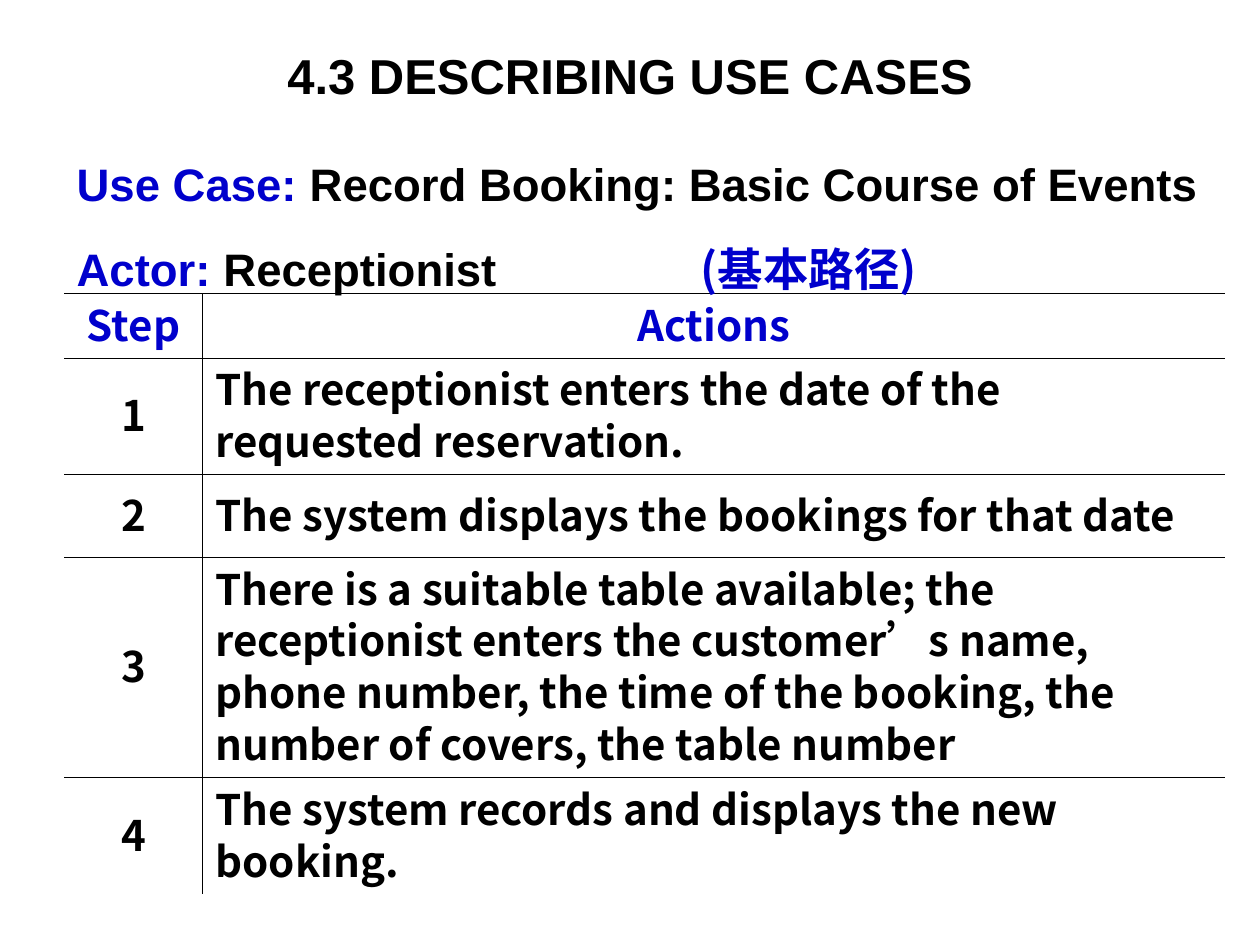
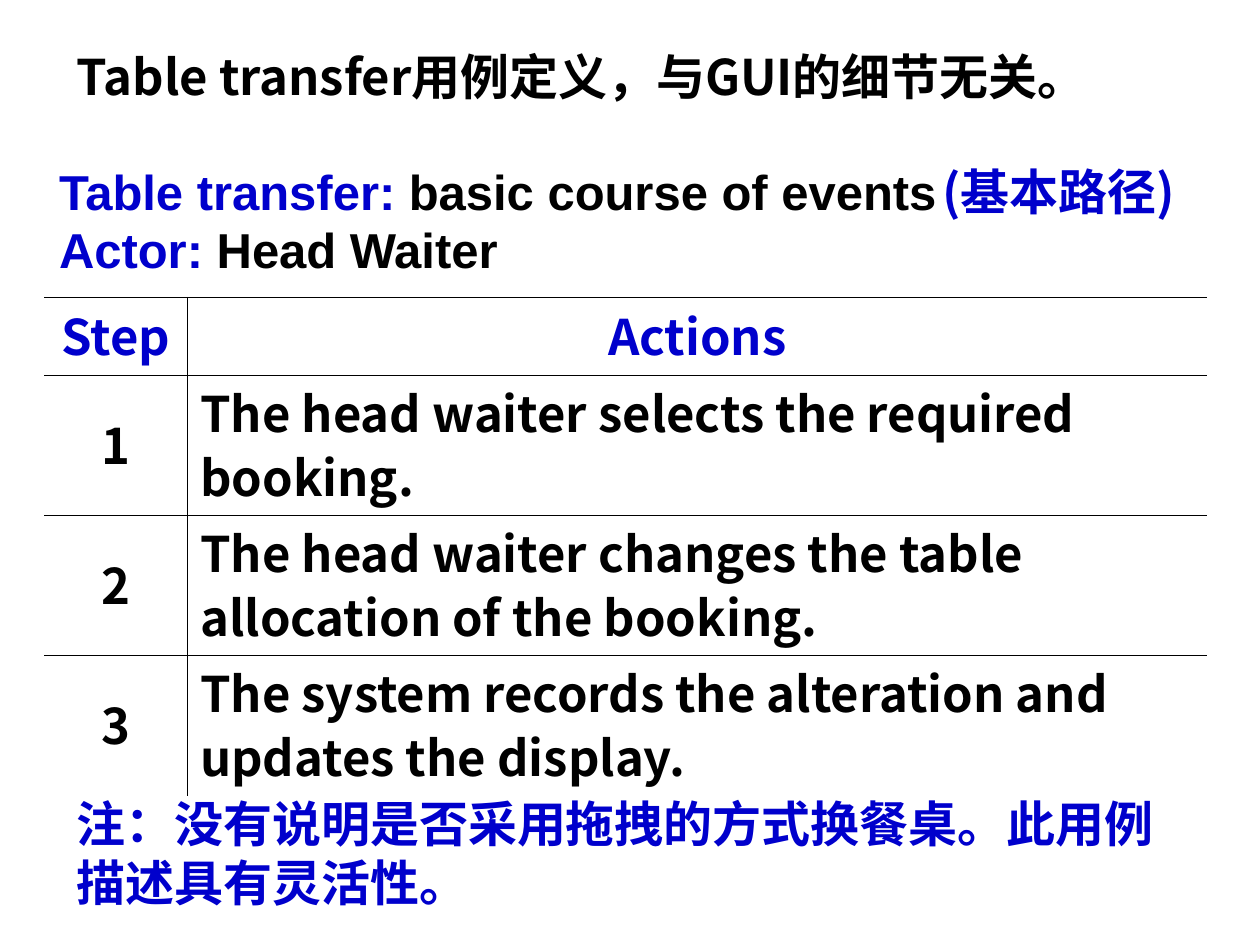
from lxml.etree import SubElement
from pptx import Presentation
from pptx.dml.color import RGBColor
from pptx.enum.text import MSO_ANCHOR, MSO_AUTO_SIZE, PP_ALIGN
from pptx.oxml.ns import qn
from pptx.util import Inches, Pt

COLORS = {"text": "000000", "accent": "0000CC", "line": "000000"}
LATIN = "Arial"
HAN = "Noto Sans CJK SC"
TITLE_SIZE = 28
LINE_WIDTH = 0.45


def style(run, size, color, face):
    run.font.size = Pt(size)
    run.font.bold = True
    run.font.color.rgb = RGBColor.from_string(COLORS[color])
    run.font.name = face
    SubElement(run.font._element, qn("a:ea"), typeface=face)


def write(frame, lines, size, align=PP_ALIGN.LEFT, spacing=1.0):
    """Each line is a list of (text, color, face) parts."""
    frame.word_wrap = True
    for index, parts in enumerate(lines):
        para = frame.add_paragraph() if index else frame.paragraphs[0]
        para.alignment = align
        para.line_spacing = spacing
        for text, color, face in parts:
            run = para.add_run()
            run.text = text
            style(run, size, color, face)


def add_title(slide, box, text, face, align):
    title = slide.shapes.title
    title.left, title.top, title.width, title.height = map(Inches, box)
    frame = title.text_frame
    frame.auto_size = MSO_AUTO_SIZE.NONE
    frame.vertical_anchor = MSO_ANCHOR.MIDDLE
    write(frame, [[(text, "text", face)]], TITLE_SIZE, align)


def add_text(slide, box, lines, size, spacing=1.0):
    frame = slide.shapes.add_textbox(*map(Inches, box)).text_frame
    write(frame, lines, size, spacing=spacing)
    return frame


def add_tab(para, pos):
    tabs = SubElement(para._p.get_or_add_pPr(), qn("a:tabLst"))
    SubElement(tabs, qn("a:tab"), pos=str(Inches(pos)), algn="l")


def set_border(cell, sides):
    """Draw the sides named in sides and clear the others."""
    props = cell._tc.get_or_add_tcPr()
    for side in "LRTB":
        line = SubElement(props, qn(f"a:ln{side}"), w=str(Pt(LINE_WIDTH)))
        if side in sides:
            fill = SubElement(line, qn("a:solidFill"))
            SubElement(fill, qn("a:srgbClr"), val=COLORS["line"])
        else:
            SubElement(line, qn("a:noFill"))


def add_steps(slide, box, first, heights, actions, size, spacing, head):
    """Table of numbered steps: first is the width of the step column."""
    rows = [("Step", "Actions")]
    rows += [(str(num), text) for num, text in enumerate(actions, 1)]
    frame = slide.shapes.add_table(len(rows), 2, *map(Inches, box))
    table = frame.table
    table.first_row = table.horz_banding = False
    for col, width in zip(table.columns, (first, box[2] - first)):
        col.width = Inches(width)
    for r, (row, height) in enumerate(zip(rows, heights)):
        table.rows[r].height = Inches(height)
        for c, text in enumerate(row):
            cell = table.cell(r, c)
            cell.vertical_anchor = MSO_ANCHOR.MIDDLE if r else head
            color = "text" if r else "accent"
            align = PP_ALIGN.LEFT if r and c else PP_ALIGN.CENTER
            lines = [[(line, color, HAN)] for line in text.split("\n")]
            write(cell.text_frame, lines, size, align, spacing)
            inner = "L" if c else "R"
            set_border(cell, inner + ("T" if r == len(rows) - 1 else "TB"))
            cell.fill.background()


def build_booking(slide):
    add_title(slide, (0.5, 0.21, 9, 0.77), "4.3 DESCRIBING USE CASES",
              LATIN, PP_ALIGN.CENTER)
    # Step table
    add_steps(slide, (0.51, 2.33, 9.21, 4.67), 1.1,
              (0.5, 0.89, 0.66, 1.69, 0.93),
              ["The receptionist enters the date of the\n"
               "requested reservation.",
               "The system displays the bookings for that date",
               "There is a suitable table available; the receptionist enters "
               "the customer’s name, phone number, the time of the booking, "
               "the number of covers, the table number",
               "The system records and displays the new\nbooking."],
              24, 0.85, MSO_ANCHOR.TOP)
    # Use case and actor
    frame = add_text(slide, (0.51, 1.27, 9.21, 1.15), [
        [("Use Case: ", "accent", LATIN),
         ("Record Booking: Basic Course of Events", "text", LATIN)],
        [("Actor: ", "accent", LATIN), ("Receptionist\t", "text", LATIN),
         ("(基本路径)", "accent", HAN)]], 26, 0.8)
    actor = frame.paragraphs[1]
    actor.space_before = Pt(24)
    add_tab(actor, 4.95)


def build_transfer(slide):
    add_title(slide, (0.51, 0.21, 9, 0.79),
              "Table transfer用例定义，与GUI的细节无关。", HAN, PP_ALIGN.LEFT)
    # Step table
    add_steps(slide, (0.35, 2.36, 9.23, 3.45), 1.14, (0.62, 0.94, 0.94, 0.94),
              ["The head waiter selects the required\nbooking.",
               "The head waiter changes the table allocation of the booking.",
               "The system records the alteration and\nupdates the display."],
              28, 0.9, MSO_ANCHOR.MIDDLE)
    # Use case and actor
    add_text(slide, (0.37, 1.23, 8.82, 1.04), [
        [("Table transfer: ", "accent", LATIN),
         ("basic course of events", "text", LATIN)],
        [("Actor: ", "accent", LATIN), ("Head Waiter", "text", LATIN)]], 28)
    # Note and path label
    add_text(slide, (0.51, 6.25, 8.82, 1.04), [
        [("注：没有说明是否采用拖拽的方式换餐桌。此用例描述具有灵活性。",
          "accent", HAN)]], 28)
    add_text(slide, (7.38, 1.23, 2.2, 0.57),
             [[("(基本路径)", "accent", HAN)]], 28)


def main():
    deck = Presentation()
    deck.slide_width, deck.slide_height = Inches(10), Inches(7.5)
    for build in (build_booking, build_transfer):
        build(deck.slides.add_slide(deck.slide_layouts[5]))
    deck.save("out.pptx")


if __name__ == "__main__":
    main()
